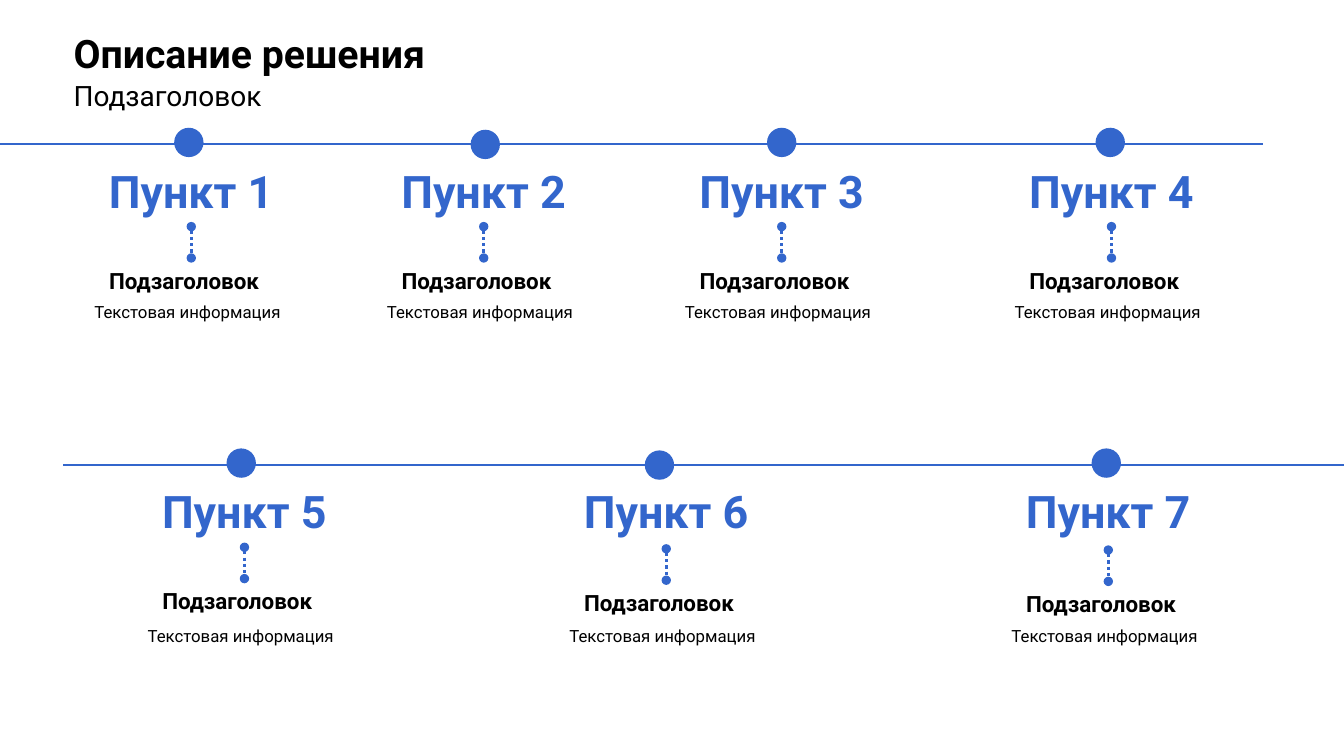
"""Build the solution slide: seven points on two timelines."""
from lxml.etree import SubElement
from pptx import Presentation
from pptx.dml.color import RGBColor
from pptx.enum.dml import MSO_LINE
from pptx.enum.shapes import MSO_CONNECTOR, MSO_SHAPE
from pptx.enum.text import MSO_ANCHOR, MSO_AUTO_SIZE, PP_ALIGN
from pptx.oxml.ns import qn
from pptx.util import Cm, Pt

WIDE, HIGH = 33.87, 19.05
FONT = "Roboto"
COLORS = {"blue": "3366CC", "black": "000000"}
TITLE = "Описание решения"
SUB = "Подзаголовок"
NOTE = "Текстовая информация"

# Each point: name, centre, dot centre, dot shift, drop of link and subtitle
ROWS = [
    {"y": 3.63, "start": 0, "end": 31.83, "note": 3.84, "points": [
        ("Пункт 1", 4.82, 4.76, -0.04, 0),
        ("Пункт 2", 12.19, 12.23, 0.01, 0),
        ("Пункт 3", 19.7, 19.7, -0.04, 0),
        ("Пункт 4", 28.01, 27.98, -0.04, 0)]},
    {"y": 11.71, "start": 1.6, "end": WIDE, "note": 3.91, "points": [
        ("Пункт 5", 6.16, 6.08, -0.04, 0),
        ("Пункт 6", 16.79, 16.62, 0.01, 0.04),
        ("Пункт 7", 27.93, 27.88, -0.04, 0.07)]},
]
DOT, LINK = 0.74, 0.79


def paint(name):
    return RGBColor.from_string(COLORS[name])


def write(text, box, shape=None, size=12, bold=False, color="black",
          align=PP_ALIGN.LEFT, anchor=MSO_ANCHOR.TOP, wrap=True, gap=1.0):
    if shape is None:
        shape = slide.shapes.add_textbox(0, 0, 0, 0)
    shape.left, shape.top, shape.width, shape.height = map(Cm, box)
    frame = shape.text_frame
    frame.text = text
    frame.word_wrap = wrap
    frame.auto_size = MSO_AUTO_SIZE.NONE
    frame.vertical_anchor = anchor
    par = frame.paragraphs[0]
    par.alignment, par.line_spacing = align, gap
    par.space_before = Pt(0)
    font = par.runs[0].font
    font.name, font.size, font.bold = FONT, Pt(size), bold
    font.color.rgb = paint(color)


def rule(x1, y1, x2, y2, width, dots=False):
    line = slide.shapes.add_connector(
        MSO_CONNECTOR.STRAIGHT, *map(Cm, (x1, y1, x2, y2)))
    line.line.color.rgb = paint("blue")
    line.line.width = Pt(width)
    if dots:
        line.line.dash_style = MSO_LINE.ROUND_DOT
        for end in ("a:headEnd", "a:tailEnd"):
            SubElement(line.line._get_or_add_ln(), qn(end), type="oval")
    SubElement(line._element.spPr, qn("a:effectLst"))


def dot(x, y):
    mark = slide.shapes.add_shape(
        MSO_SHAPE.OVAL, Cm(x - DOT / 2), Cm(y - DOT / 2), Cm(DOT), Cm(DOT))
    mark.shadow.inherit = False
    mark.fill.solid()
    mark.fill.fore_color.rgb = paint("blue")
    mark.line.fill.background()


deck = Presentation()
deck.slide_width, deck.slide_height = Cm(WIDE), Cm(HIGH)
slide = deck.slides.add_slide(deck.slide_layouts[0])
head, sub = slide.placeholders
write(TITLE, (1.6, 0.56, 29.21, 1.68), head, size=28, bold=True,
      anchor=MSO_ANCHOR.MIDDLE, gap=0.9)
write(SUB, (1.6, 1.85, 5.28, 1.12), sub, size=20, wrap=False)

for row in ROWS:
    y = row["y"]
    rule(row["start"], y, row["end"], y, 1.5)
    for name, mid, spot, shift, drop in row["points"]:
        dot(spot, y + shift)
        write(name, (mid - 2.41, y + 0.36, 4.82, 1.63), size=32, bold=True,
              color="blue", align=PP_ALIGN.CENTER, wrap=False)
        top = y + 2.08 + drop
        rule(mid, top, mid, top + LINK, 2.25, dots=True)
        write(SUB, (mid - 2.32, y + 2.97 + drop, 4.65, 0.94), size=16,
              bold=True)
        write(NOTE, (mid - 2.69, y + row["note"], 5.38, 0.79), gap=Pt(15))

deck.save("out.pptx")
